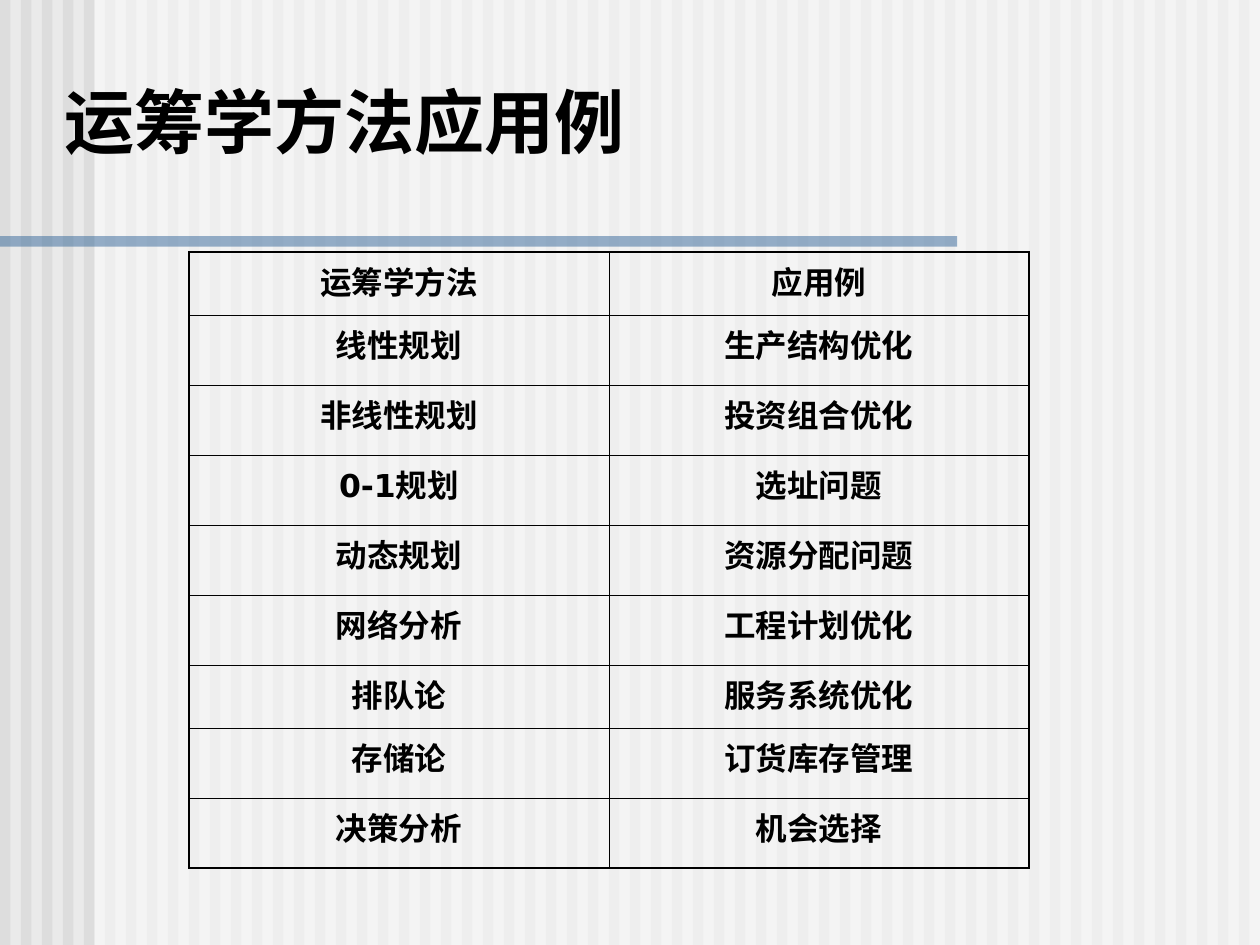
from pptx import Presentation
from pptx.dml.color import RGBColor as RGB
from pptx.enum.shapes import MSO_SHAPE as SHAPE
from pptx.enum.text import MSO_ANCHOR as ANCHOR, PP_ALIGN as ALIGN
from pptx.oxml.ns import qn
from pptx.util import Pt
from lxml.etree import SubElement

THEME = {
    "bg": "EAEAEA", "stripe": "DDDDDD", "veil": "FFFFFF", "bar": "336699",
    "ink": "000000", "font": "DejaVu Sans", "title": 40, "body": 18,
    "outer": 1.08, "inner": 0.45,
}
ROWS = [
    ("运筹学方法", "应用例"),
    ("线性规划", "生产结构优化"),
    ("非线性规划", "投资组合优化"),
    ("0-1规划", "选址问题"),
    ("动态规划", "资源分配问题"),
    ("网络分析", "工程计划优化"),
    ("排队论", "服务系统优化"),
    ("存储论", "订货库存管理"),
    ("决策分析", "机会选择"),
]
HEIGHTS = [36, 40, 40, 40, 40, 40, 36, 40, 40]


def add_rect(shapes, box, color, alpha=None):
    sp = shapes.add_shape(SHAPE.RECTANGLE, *map(Pt, box))
    sp.shadow.inherit = False
    sp.line.fill.background()
    sp.fill.solid()
    sp.fill.fore_color.rgb = RGB.from_string(color)
    if alpha:
        clr = sp.fill._xPr.find(".//" + qn("a:srgbClr"))
        SubElement(clr, qn("a:alpha"), val=str(alpha * 1000))


def write(tf, text, size, **para):
    p = tf.paragraphs[0]
    for key, value in para.items():
        setattr(p, key, value)
    r = p.add_run()
    r.text = text
    style = {"name": THEME["font"], "size": Pt(size), "bold": True}
    for key, value in style.items():
        setattr(r.font, key, value)
    r.font.color.rgb = RGB.from_string(THEME["ink"])


prs = Presentation()
prs.slide_width, prs.slide_height = Pt(720), Pt(540)
slide = prs.slides.add_slide(prs.slide_layouts[6])
slide.background.fill.solid()
slide.background.fill.fore_color.rgb = RGB.from_string(THEME["bg"])

stripes = slide.shapes.add_group_shape().shapes
for x in range(0, 720, 12):
    add_rect(stripes, (x, 0, 6, 540), THEME["stripe"])
add_rect(stripes, (54, 0, 666, 540), THEME["veil"], 50)
add_rect(slide.shapes, (0, 135, 547, 6), THEME["bar"], 50)

title = slide.shapes.add_textbox(Pt(30), Pt(41), Pt(612), Pt(55.5))
tf = title.text_frame
tf.word_wrap = True
tf.vertical_anchor = ANCHOR.BOTTOM
write(tf, "运筹学方法应用例", THEME["title"])

frame = slide.shapes.add_table(len(ROWS), 2, Pt(108), Pt(144), Pt(480), Pt(sum(HEIGHTS)))
table = frame.table
table.first_row = table.horz_banding = False
for i, (row, height) in enumerate(zip(ROWS, HEIGHTS)):
    table.rows[i].height = Pt(height)
    for j, text in enumerate(row):
        cell = table.cell(i, j)
        write(cell.text_frame, text, THEME["body"], alignment=ALIGN.CENTER, space_before=Pt(4.5))
        edges = {"lnL": j == 0, "lnR": j == 1, "lnT": i == 0, "lnB": i == len(ROWS) - 1}
        tc_pr = cell._tc.get_or_add_tcPr()
        for tag, is_outer in edges.items():
            width = Pt(THEME["outer" if is_outer else "inner"])
            ln = SubElement(tc_pr, qn("a:" + tag), w=str(width))
            fill = SubElement(ln, qn("a:solidFill"))
            SubElement(fill, qn("a:srgbClr"), val=THEME["ink"])
        cell.fill.background()

prs.save("out.pptx")
